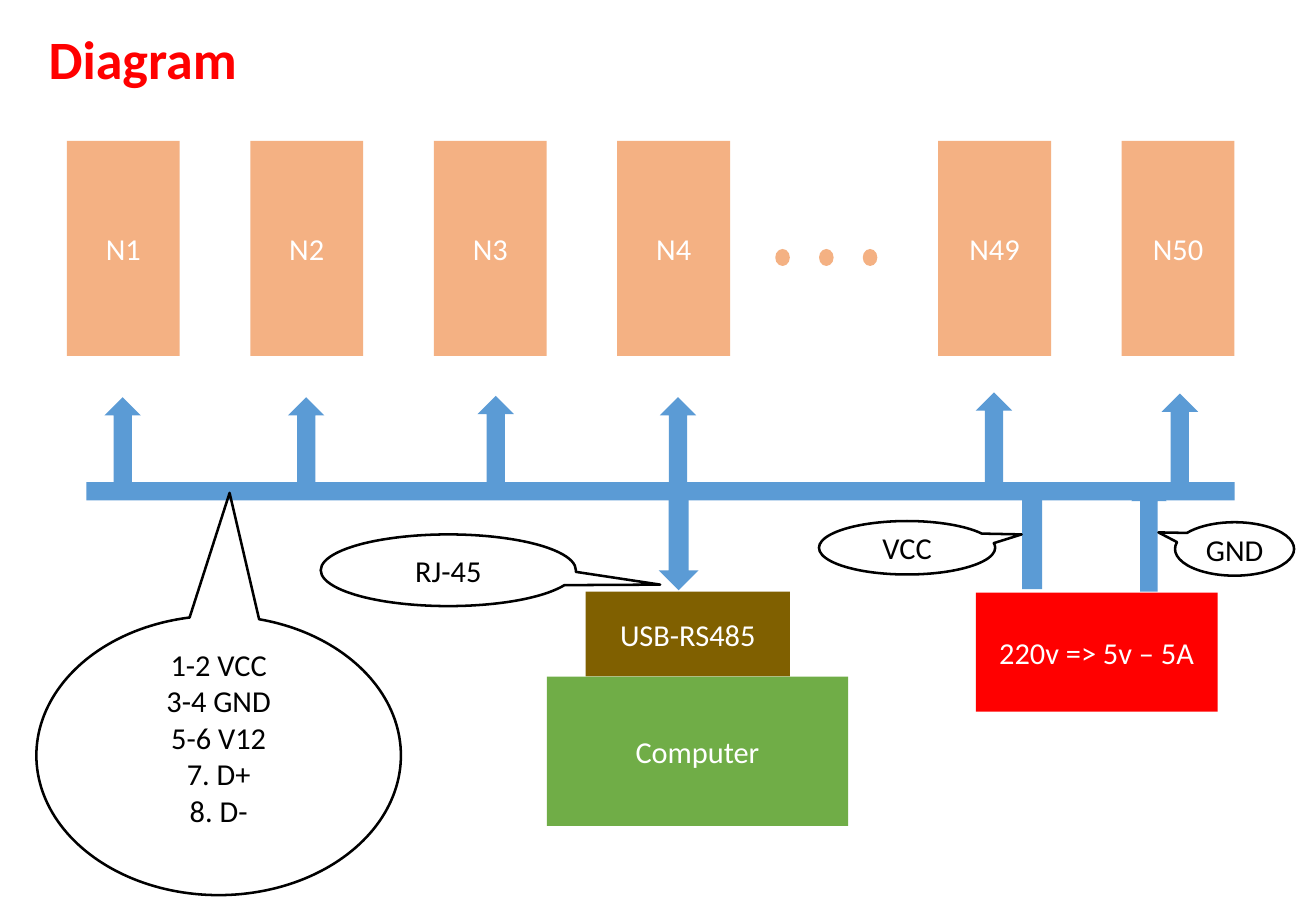
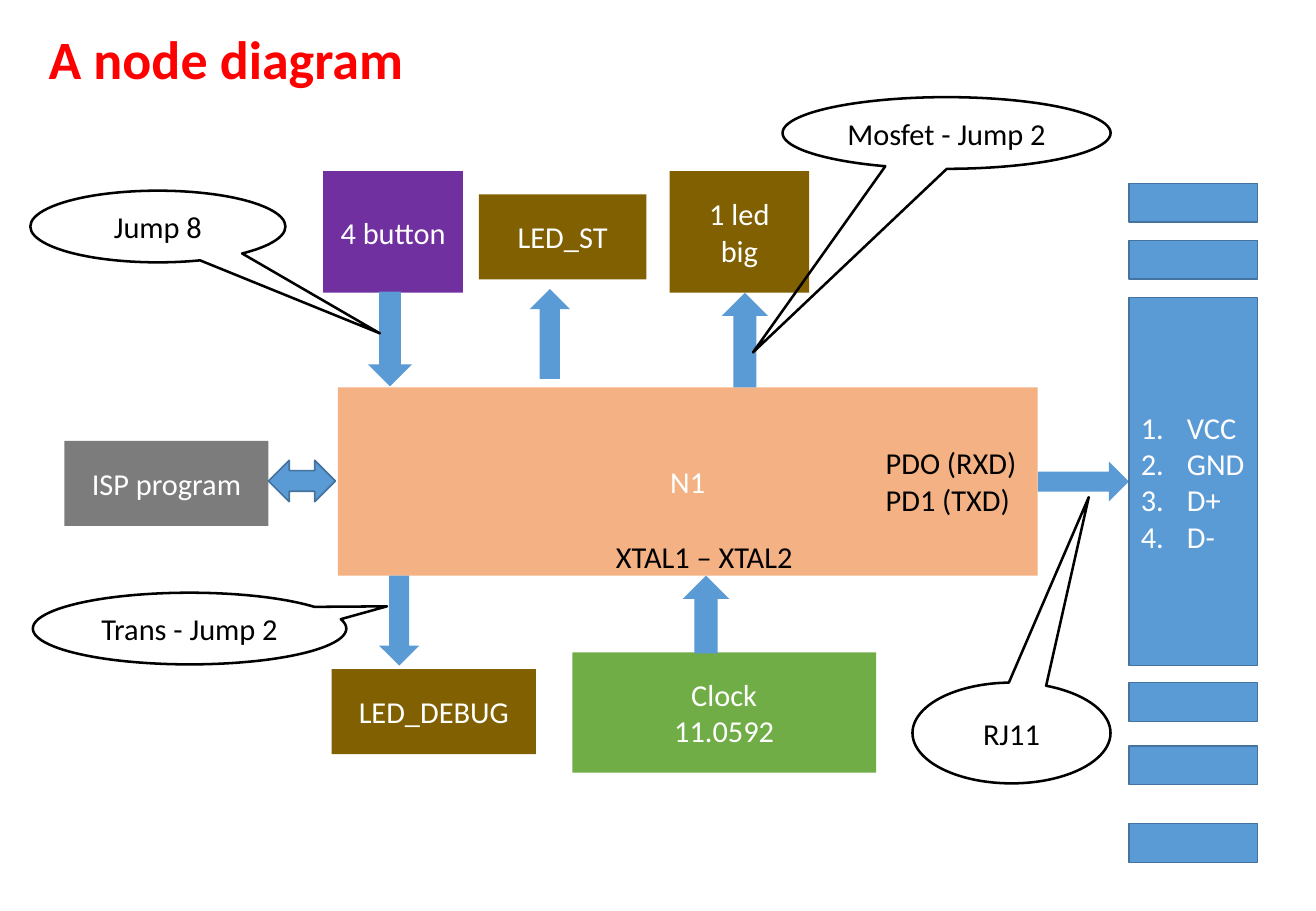
"""Build two block diagrams: the node bus and a single node."""
from lxml import etree
from pptx import Presentation
from pptx import util as u
from pptx.dml.color import RGBColor
from pptx.enum import shapes, text
from pptx.oxml.ns import qn

BLACK = RGBColor(0x00, 0x00, 0x00)
WHITE = RGBColor(0xFF, 0xFF, 0xFF)
RED = RGBColor(0xFF, 0x00, 0x00)
PEACH = RGBColor(0xF4, 0xB1, 0x83)
BLUE = RGBColor(0x5B, 0x9B, 0xD5)
DARK_BLUE = RGBColor(0x43, 0x73, 0x9E)
BROWN = RGBColor(0x80, 0x60, 0x00)
GREEN = RGBColor(0x70, 0xAD, 0x47)
PURPLE = RGBColor(0x70, 0x30, 0xA0)
GREY = RGBColor(0x7C, 0x7C, 0x7C)

FONT = "Calibri"
KIND = shapes.MSO_SHAPE
CENTER = text.PP_ALIGN.CENTER
LEFT = text.PP_ALIGN.LEFT
MIDDLE = text.MSO_ANCHOR.MIDDLE
TOP = text.MSO_ANCHOR.TOP


def write(shape, words, size=18, color=WHITE, bold=False, align=CENTER,
          anchor=MIDDLE, wrap=True, numbered=False):
    """Fill a shape with one paragraph per line of words."""
    frame = shape.text_frame
    frame.word_wrap = wrap
    frame.auto_size = text.MSO_AUTO_SIZE.NONE
    frame.vertical_anchor = anchor
    for index, line in enumerate(words.split("\n")):
        paragraph = frame.add_paragraph() if index else frame.paragraphs[0]
        paragraph.alignment = align
        run = paragraph.add_run()
        run.text = line
        run.font.name = FONT
        run.font.size = u.Pt(size)
        run.font.bold = bold
        run.font.color.rgb = color
        if numbered:
            properties = paragraph._p.get_or_add_pPr()
            properties.set("marL", str(u.Inches(0.38)))
            properties.set("indent", str(-u.Inches(0.38)))
            etree.SubElement(properties, qn("a:buAutoNum"), type="arabicPeriod")


class Diagram:
    """Hold the shared style and the current slide."""

    def __init__(self):
        """Start a presentation of the right size."""
        self.presentation = Presentation()
        self.presentation.slide_width = u.Inches(10.83)
        self.presentation.slide_height = u.Inches(7.5)
        self.slide = None

    def new_slide(self, title, width):
        """Add a slide with a red title."""
        layout = self.presentation.slide_layouts[5]
        self.slide = self.presentation.slides.add_slide(layout)
        shape = self.slide.shapes.title
        shape.left, shape.top = u.Inches(0.3), u.Inches(0.16)
        shape.width, shape.height = u.Inches(width), u.Inches(0.64)
        write(shape, title, size=32, color=RED, bold=True, align=LEFT,
              anchor=TOP, wrap=False)

    def add(self, kind, left, top, width, height, fill=None, line=None, line_width=1):
        """Add a preset shape without a shadow."""
        shape = self.slide.shapes.add_shape(
            kind, u.Inches(left), u.Inches(top), u.Inches(width), u.Inches(height))
        shape.shadow.inherit = False
        if fill is None:
            shape.fill.background()
        else:
            shape.fill.solid()
            shape.fill.fore_color.rgb = fill
        if line is None:
            shape.line.fill.background()
        else:
            shape.line.color.rgb = line
            shape.line.width = u.Pt(line_width)
        return shape

    def block(self, words, left, top, width, height, fill):
        """Add a filled box with a white label."""
        write(self.add(KIND.RECTANGLE, left, top, width, height, fill), words)

    def arrow(self, kind, left, top, width, height, line=None):
        """Add a blue block arrow."""
        return self.add(kind, left, top, width, height, BLUE, line)

    def pin(self, top, height=0.32):
        """Add one outlined part of the connector column."""
        return self.add(KIND.RECTANGLE, 9.29, top, 1.06, height, BLUE, DARK_BLUE)

    def callout(self, words, left, top, width, height, tip):
        """Add an outlined ellipse whose tail ends at the relative tip."""
        shape = self.add(KIND.OVAL_CALLOUT, left, top, width, height,
                         line=BLACK, line_width=1.5)
        shape.adjustments[0], shape.adjustments[1] = tip
        write(shape, words, color=BLACK)
        return shape

    def label(self, words, left, top, width, height):
        """Add black text without a box."""
        shape = self.slide.shapes.add_textbox(
            u.Inches(left), u.Inches(top), u.Inches(width), u.Inches(height))
        write(shape, words, color=BLACK, align=LEFT, anchor=TOP, wrap=False)


def build_bus(diagram):
    """Draw the nodes on their common bus."""
    diagram.new_slide("Diagram", 1.76)
    diagram.block("USB-RS485", 4.82, 4.87, 1.68, 0.7, BROWN)
    for first_left, numbers in ((0.55, (1, 2, 3, 4)), (7.72, (49, 50))):
        for index, number in enumerate(numbers):
            diagram.block(f"N{number}", first_left + 1.51 * index, 1.16, 0.93, 1.77, PEACH)
    for index in range(3):
        diagram.add(KIND.OVAL, 6.38 + 0.36 * index, 2.05, 0.12, 0.14, PEACH)
    diagram.add(KIND.RECTANGLE, 0.71, 3.97, 9.45, 0.15, BLUE)
    for left, top in ((0.86, 3.27), (2.37, 3.27), (3.93, 3.26),
                      (5.43, 3.27), (8.03, 3.23), (9.56, 3.24)):
        diagram.arrow(KIND.UP_ARROW, left, top, 0.3, 0.78)
    diagram.arrow(KIND.DOWN_ARROW, 5.42, 4.05, 0.33, 0.81)
    diagram.block("Computer", 4.5, 5.57, 2.48, 1.23, GREEN)
    diagram.block("220v => 5v – 5A", 8.03, 4.88, 1.99, 0.98, RED)
    vcc_feed = diagram.arrow(KIND.UP_ARROW, 8.33, 3.97, 0.33, 0.88)
    vcc_feed.adjustments[1] = 0.35
    diagram.arrow(KIND.UP_ARROW, 9.31, 3.98, 0.29, 0.89)
    wiring = diagram.callout("1-2 VCC\n3-4 GND\n5-6 V12\n7. D+\n8. D-",
                             0.3, 5.07, 3, 2.3, (0.03, -0.94))
    wiring.text_frame.margin_bottom = u.Inches(0.35)
    diagram.callout("RJ-45", 2.64, 4.4, 2.1, 0.59, (0.83, 0.2))
    diagram.callout("VCC", 6.74, 4.29, 1.45, 0.44, (0.65, -0.25))
    diagram.callout("GND", 9.67, 4.3, 0.98, 0.44, (-0.64, -0.31))


def build_node(diagram):
    """Draw one node with its peripherals."""
    diagram.new_slide("A node diagram", 3.14)
    for words, left, top, width, height, fill in (
            ("LED_DEBUG", 2.73, 5.51, 1.68, 0.7, BROWN),
            ("N1", 2.78, 3.19, 5.76, 1.55, PEACH),
            ("Clock\n11.0592", 4.71, 5.37, 2.5, 0.99, GREEN),
            ("4 button", 2.66, 1.41, 1.15, 1, PURPLE),
            ("1 led\nbig", 5.51, 1.41, 1.15, 1, BROWN),
            ("ISP program", 0.53, 3.63, 1.68, 0.7, GREY),
            ("LED_ST", 3.94, 1.6, 1.38, 0.7, BROWN)):
        diagram.block(words, left, top, width, height, fill)
    for kind, left, top, width, height in (
            (KIND.DOWN_ARROW, 3.12, 4.74, 0.33, 0.74),
            (KIND.DOWN_ARROW, 3.03, 2.4, 0.36, 0.78),
            (KIND.RIGHT_ARROW, 8.54, 3.8, 0.75, 0.33),
            (KIND.UP_ARROW, 5.94, 2.41, 0.38, 0.78),
            (KIND.UP_ARROW, 5.62, 4.74, 0.38, 0.64),
            (KIND.UP_ARROW, 4.36, 2.38, 0.33, 0.74)):
        diagram.arrow(kind, left, top, width, height)
    diagram.arrow(KIND.LEFT_RIGHT_ARROW, 2.21, 3.79, 0.55, 0.34, line=DARK_BLUE)
    diagram.callout("RJ11", 7.51, 5.62, 1.63, 0.83, (0.39, -2.34))
    diagram.callout("Jump 8", 0.25, 1.57, 2.1, 0.59, (0.87, 1.49))
    diagram.callout("Mosfet - Jump 2", 6.44, 0.8, 2.7, 0.59, (-0.59, 3.06))
    diagram.callout("Trans - Jump 2", 0.27, 4.88, 2.58, 0.59, (0.63, -0.31))
    write(diagram.pin(2.45, 3.03), "VCC\nGND\nD+\nD-", align=LEFT, numbered=True)
    for top in (1.51, 1.98, 5.62, 6.14, 6.78):
        diagram.pin(top)
    diagram.label("XTAL1 – XTAL2", 4.97, 4.38, 1.67, 0.4)
    diagram.label("PDO (RXD)\nPD1 (TXD)", 7.19, 3.61, 1.29, 0.71)


diagram = Diagram()
build_bus(diagram)
build_node(diagram)
diagram.presentation.save("out.pptx")
